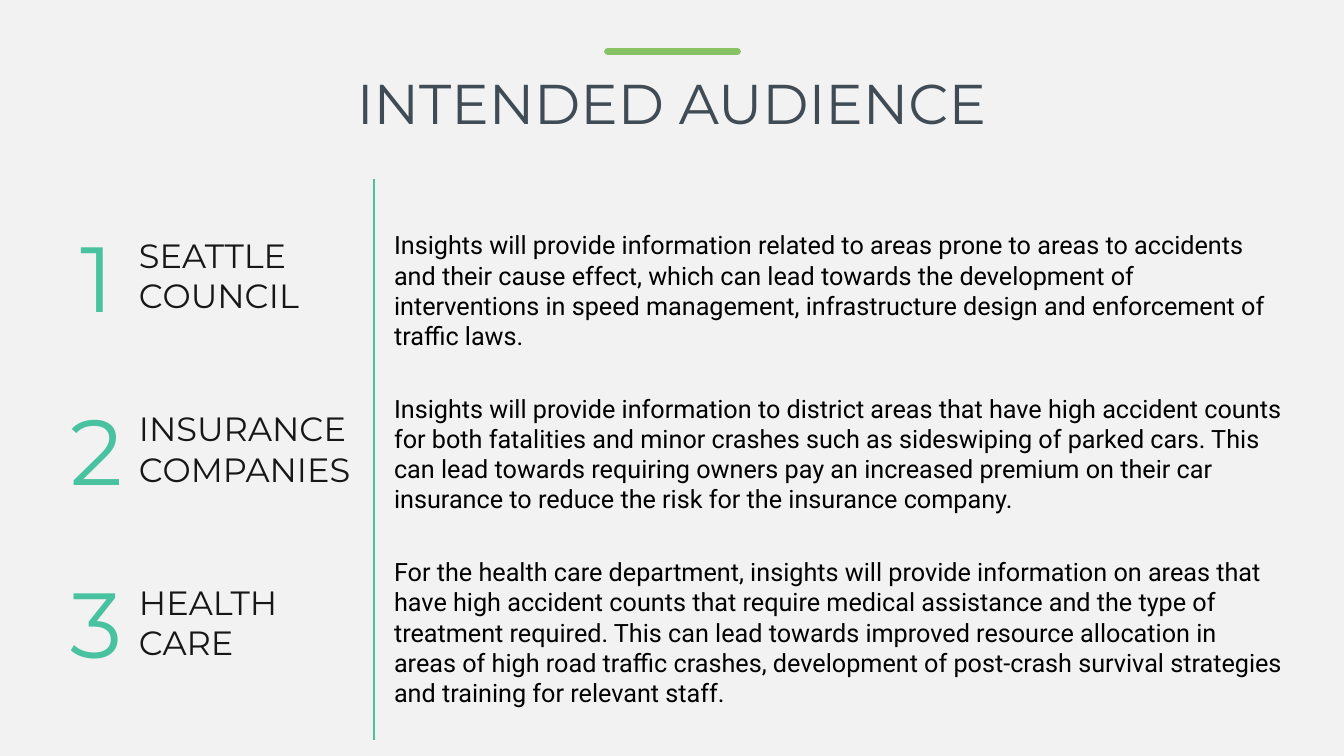
from lxml.etree import SubElement
from pptx import Presentation
from pptx.dml.color import RGBColor
from pptx.enum.shapes import MSO_CONNECTOR
from pptx.enum.text import MSO_ANCHOR, MSO_AUTO_SIZE, PP_ALIGN
from pptx.oxml.ns import qn
from pptx.util import Inches, Pt

PAPER = RGBColor(0xF2, 0xF2, 0xF2)
SLATE = RGBColor(0x3F, 0x4B, 0x55)
GREEN = RGBColor(0x87, 0xC3, 0x65)
TEAL = RGBColor(0x49, 0xC2, 0xA0)
INK = RGBColor(0x18, 0x17, 0x17)
BLACK = RGBColor(0, 0, 0)

TITLE = {"name": "Montserrat", "size": Pt(40), "color": SLATE}
DIGIT = {"name": "Montserrat", "size": Pt(66), "color": TEAL}
LABEL = {"name": "Montserrat", "size": Pt(24), "color": INK}
BODY = {"name": "Roboto", "size": Pt(18), "color": BLACK}

GROUPS = [
    ("SEATTLE COUNCIL", 1.93, 1.31,
     "Insights will provide information related to areas prone to areas to accidents "
     "and their cause effect, which can lead towards the development of interventions "
     "in speed management, infrastructure design and enforcement of traffic laws."),
    ("INSURANCE COMPANIES", 2.42, 1.31,
     "Insights will provide information to district areas that have high accident counts "
     "for both fatalities and minor crashes such as sideswiping of parked cars. This can "
     "lead towards requiring owners pay an increased premium on their car insurance to "
     "reduce the risk for the insurance company."),
    ("HEALTH CARE", 2.42, 1.62,
     "For the health care department, insights will provide information on areas that "
     "have high accident counts that require medical assistance and the type of treatment "
     "required. This can lead towards improved resource allocation in areas of high road "
     "traffic crashes, development of post-crash survival strategies and training for "
     "relevant staff."),
]


class Deck:
    """Hold the style and the current slide, and draw its elements."""

    def __init__(self):
        self.show = Presentation()
        self.show.slide_width = Inches(13.33)
        self.show.slide_height = Inches(7.5)
        self.slide = self.show.slides.add_slide(self.show.slide_layouts[5])
        fill = self.slide.background.fill
        fill.solid()
        fill.fore_color.rgb = PAPER

    def fill_text(self, frame, text, style, align):
        frame.word_wrap = True
        para = frame.paragraphs[0]
        para.alignment = align
        run = para.add_run()
        run.text = text
        for key, value in style.items():
            if key == "color":
                run.font.color.rgb = value
            else:
                setattr(run.font, key, value)
        return para

    def title(self, text, left, top, width, height):
        shape = self.slide.shapes.title
        box = {"left": left, "top": top, "width": width, "height": height}
        for key, value in box.items():
            setattr(shape, key, Inches(value))
        frame = shape.text_frame
        frame.vertical_anchor = MSO_ANCHOR.MIDDLE
        frame.auto_size = MSO_AUTO_SIZE.NONE
        self.fill_text(frame, text, TITLE, PP_ALIGN.CENTER).line_spacing = 0.9

    def text(self, text, left, top, width, height, style, align=PP_ALIGN.LEFT):
        box = [Inches(n) for n in (left, top, width, height)]
        frame = self.slide.shapes.add_textbox(*box).text_frame
        frame.auto_size = MSO_AUTO_SIZE.SHAPE_TO_FIT_TEXT
        self.fill_text(frame, text, style, align)

    def line(self, left, top, right, bottom, color, width, cap="flat"):
        ends = [Inches(n) for n in (left, top, right, bottom)]
        rule = self.slide.shapes.add_connector(MSO_CONNECTOR.STRAIGHT, *ends)
        rule.line.color.rgb = color
        rule.line.width = Pt(width)
        props = rule._element.spPr
        props.find(qn("a:ln")).set("cap", cap)
        SubElement(props, qn("a:effectLst"))


def main():
    deck = Deck()
    deck.title("INTENDED AUDIENCE", 3.12, 0.33, 7.08, 1.45)
    deck.line(6.03, 0.51, 7.31, 0.51, GREEN, 5.5, "rnd")
    for row, (label, width, height, body) in enumerate(GROUPS):
        top = 2.13 + 1.72 * row
        deck.text(str(row + 1), 0.52, top, 0.88, 1.21, DIGIT, PP_ALIGN.CENTER)
        deck.text(label, 1.28, top + 0.15, width, 0.91, LABEL)
        deck.text(body, 3.81, 2.23 + 1.62 * row, 9.01, height, BODY)
    deck.line(3.71, 1.78, 3.71, 7.34, TEAL, 1.5)
    deck.show.save("out.pptx")


if __name__ == "__main__":
    main()
